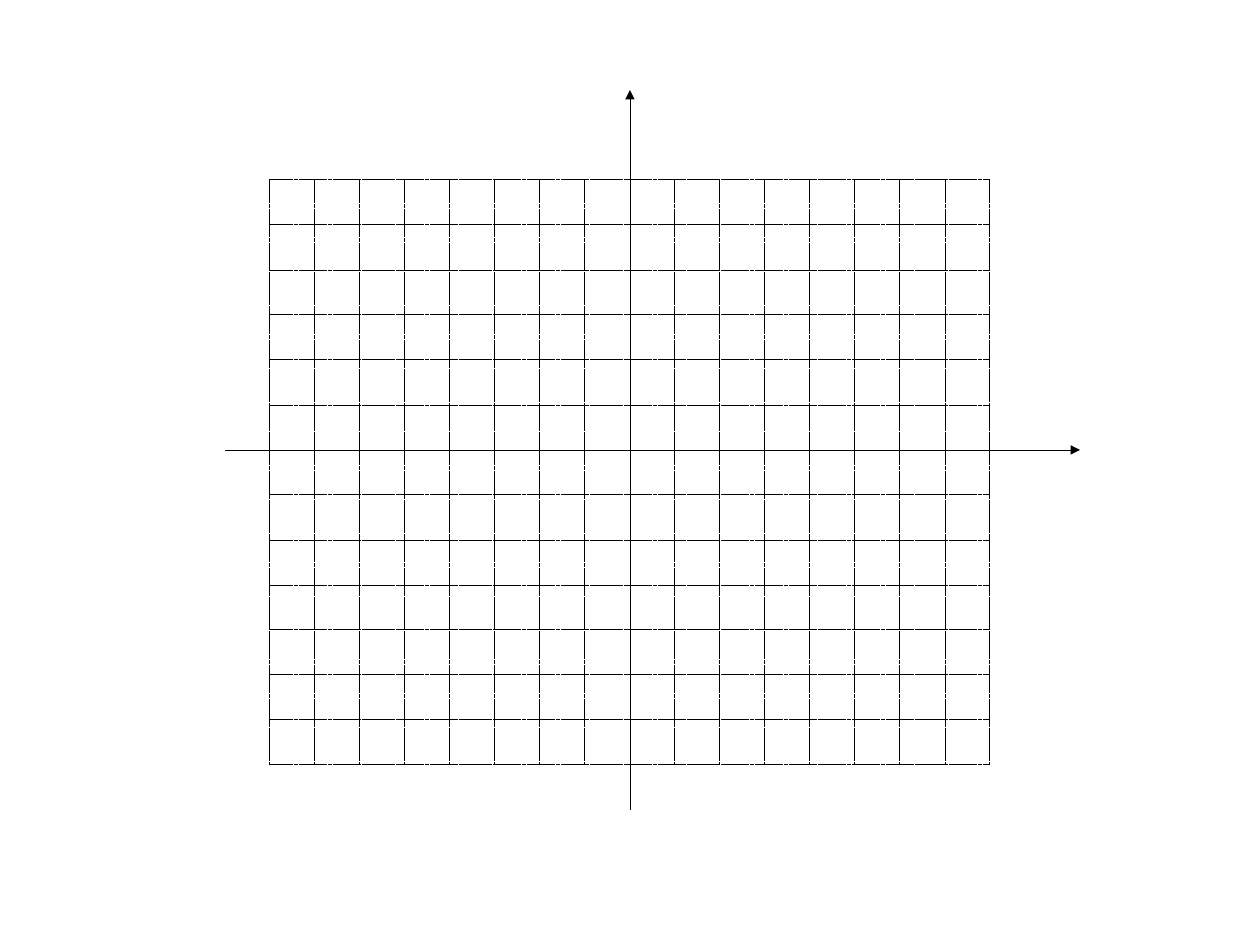
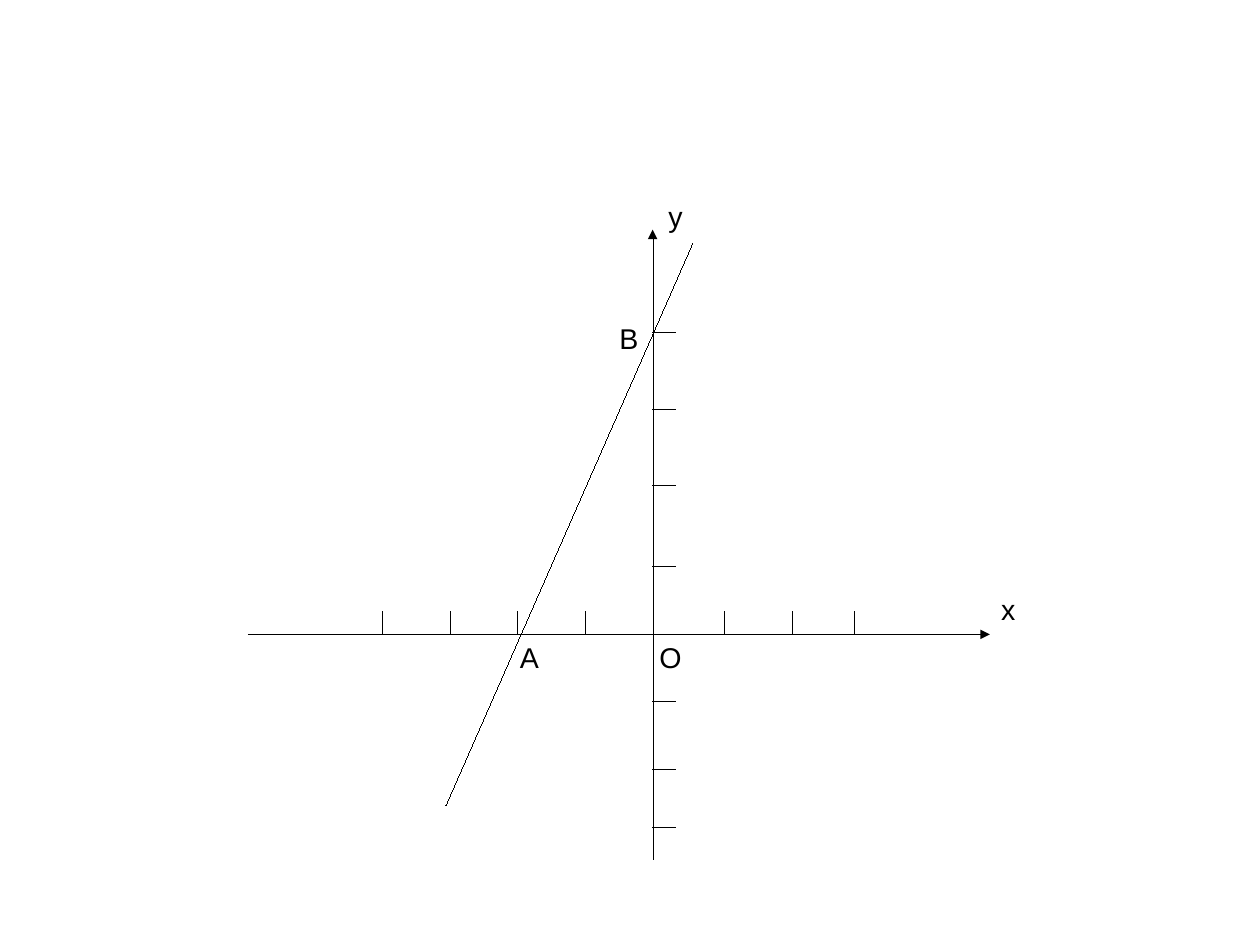
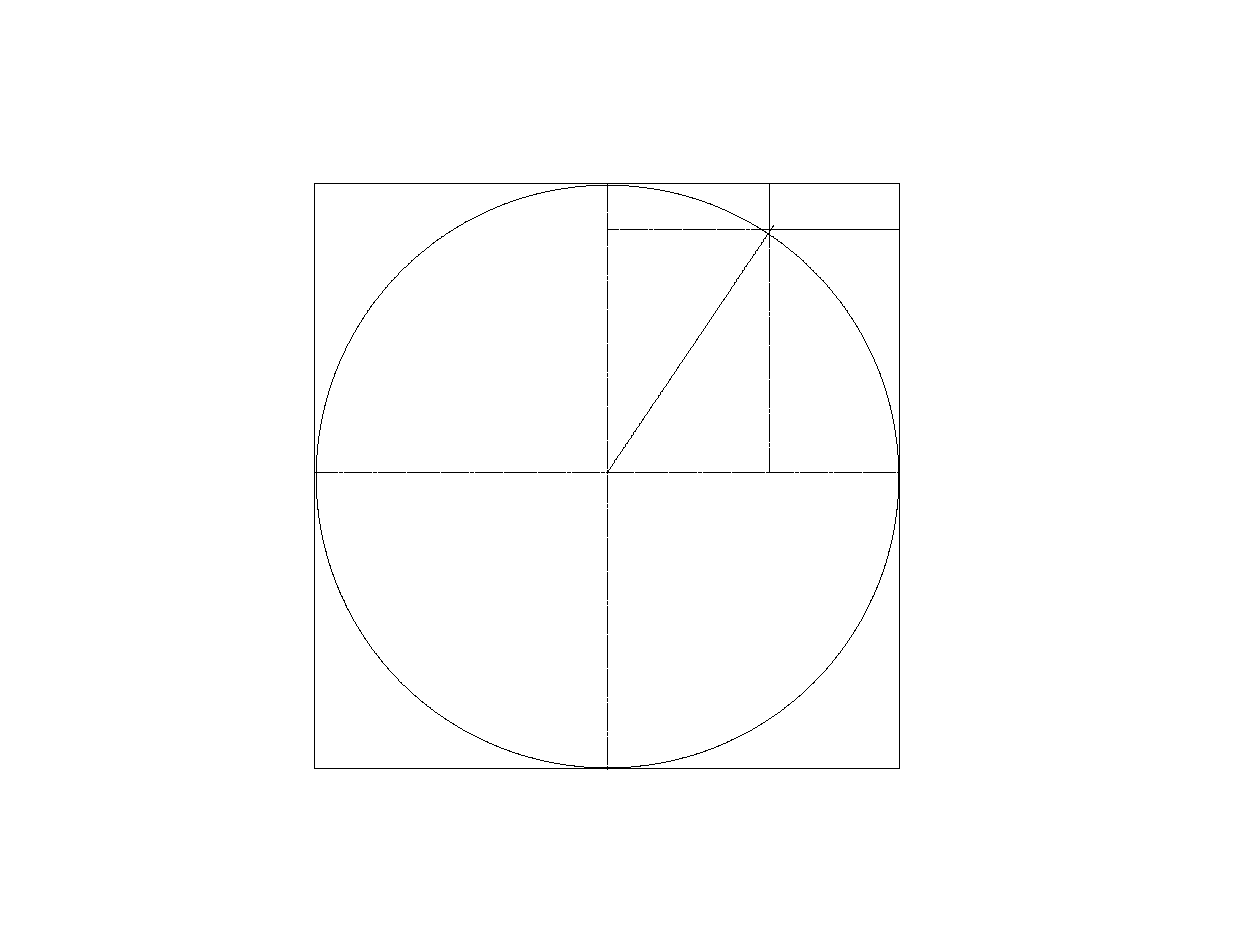
import pptx
import pptx.util
import pptx.dml.color
import pptx.enum.dml
import pptx.enum.shapes
import pptx.enum.text
import pptx.oxml.ns
import lxml.etree

Inches = pptx.util.Inches
Pt = pptx.util.Pt
qn = pptx.oxml.ns.qn
SHAPES = pptx.enum.shapes.MSO_SHAPE
COLORS = {"ink": "000000", "paper": "FFFFFF"}
FONT = "Arial"
CELL = 1 / 2.54


def rgb(name):
    return pptx.dml.color.RGBColor.from_string(COLORS[name])


def set_hairline(sp):
    sp._element.remove(sp._element.find(qn("p:style")))
    sp.line.color.rgb = rgb("ink")
    ln = sp._element.spPr.find(qn("a:ln"))
    ln.set("w", "0")
    return ln


def add_line(slide, x1, y1, x2, y2, dashed=False, arrow=False):
    c = slide.shapes.add_connector(
        pptx.enum.shapes.MSO_CONNECTOR.STRAIGHT,
        Inches(x1), Inches(y1), Inches(x2), Inches(y2))
    ln = set_hairline(c)
    if dashed:
        c.line.dash_style = pptx.enum.dml.MSO_LINE.SQUARE_DOT
    if arrow:
        lxml.etree.SubElement(ln, qn("a:tailEnd"), type="triangle")
    lxml.etree.SubElement(c._element.spPr, qn("a:effectLst"))
    return c


def add_axes(slide, x, y, left, right, top, bottom):
    add_line(slide, x, bottom, x, top, arrow=True)
    add_line(slide, left, y, right, y, arrow=True)


def add_ticks(slide, xs, ys, x_base, y_base, length):
    for x in xs:
        add_line(slide, x, y_base, x, y_base - length)
    for y in ys:
        add_line(slide, x_base, y, x_base + length, y)


def add_label(slide, text, x, y, w):
    tb = slide.shapes.add_textbox(Inches(x), Inches(y), Inches(w), Inches(0.38))
    tf = tb.text_frame
    tf.word_wrap = False
    tf.auto_size = pptx.enum.text.MSO_AUTO_SIZE.SHAPE_TO_FIT_TEXT
    p = tf.paragraphs[0]
    p.text = text
    p.font.size = Pt(18)
    p.font.name = FONT
    p.font.color.rgb = rgb("ink")


def add_outline(slide, kind, x, y, size):
    sp = slide.shapes.add_shape(kind, Inches(x), Inches(y), Inches(size), Inches(size))
    sp.shadow.inherit = False
    sp.fill.solid()
    sp.fill.fore_color.rgb = rgb("paper")
    set_hairline(sp)
    return sp


def build_grid(slide):
    x0, y0 = 14 * CELL, 10 * CELL
    xs = [x0 + i * CELL for i in range(-8, 9) if i]
    ys = [y0 + j * CELL for j in range(-6, 8) if j]
    add_axes(slide, x0, y0, 5 * CELL, 24 * CELL, 2 * CELL, 18 * CELL)
    add_ticks(slide, xs, ys, x0, 3.92, 0.1)
    for y in ys:
        add_line(slide, xs[0], y, xs[-1], y, dashed=True)
    for x in xs:
        add_line(slide, x, ys[0], x, ys[-1], dashed=True)


def build_line_graph(slide):
    x0, y0 = 5.71, 5.55
    add_axes(slide, x0, y0, 2.17, 8.66, 2.01, 7.52)
    xs = [3.35, 3.94, 4.53, 5.12, 6.34, 6.93, 7.48]
    ys = [2.91, 3.58, 4.25, 4.96, 6.14, 6.73, 7.24]
    add_ticks(slide, xs, ys, x0, y0, 0.2)
    add_line(slide, 6.06, 2.13, 3.9, 7.05)
    for label in [("x", 8.66, 5.13, 0.32), ("y", 5.75, 1.69, 0.32),
                  ("O", 5.67, y0, 0.39), ("A", 4.45, y0, 0.36),
                  ("B", 5.32, 2.76, 0.36)]:
        add_label(slide, *label)


def build_circle(slide):
    left, top, side = 7 * CELL, 1.61, 13 * CELL
    right, bottom = left + side, top + side
    cx, cy = left + side / 2, 4.13
    px, py = 6.73, 2.01
    square = add_outline(slide, SHAPES.RECTANGLE, left, top, side)
    add_outline(slide, SHAPES.OVAL, left + 0.01, top + 0.01, side - 0.02)
    add_line(slide, px, top, px, py)
    add_line(slide, px, py, right, py)
    diameter = add_line(slide, cx, top, cx, bottom, dashed=True)
    diameter.begin_connect(square, 0)
    diameter.end_connect(square, 2)
    add_line(slide, px, py, cx, py, dashed=True)
    add_line(slide, left, cy, right, cy, dashed=True)
    add_line(slide, cx, cy, 6.77, 1.97, dashed=True)
    add_line(slide, px, py, px, cy, dashed=True)


def main():
    prs = pptx.Presentation()
    prs.slide_width = Inches(28 * CELL)
    prs.slide_height = Inches(21 * CELL)
    for build in (build_grid, build_line_graph, build_circle):
        build(prs.slides.add_slide(prs.slide_layouts[6]))
    prs.save("out.pptx")


if __name__ == "__main__":
    main()
